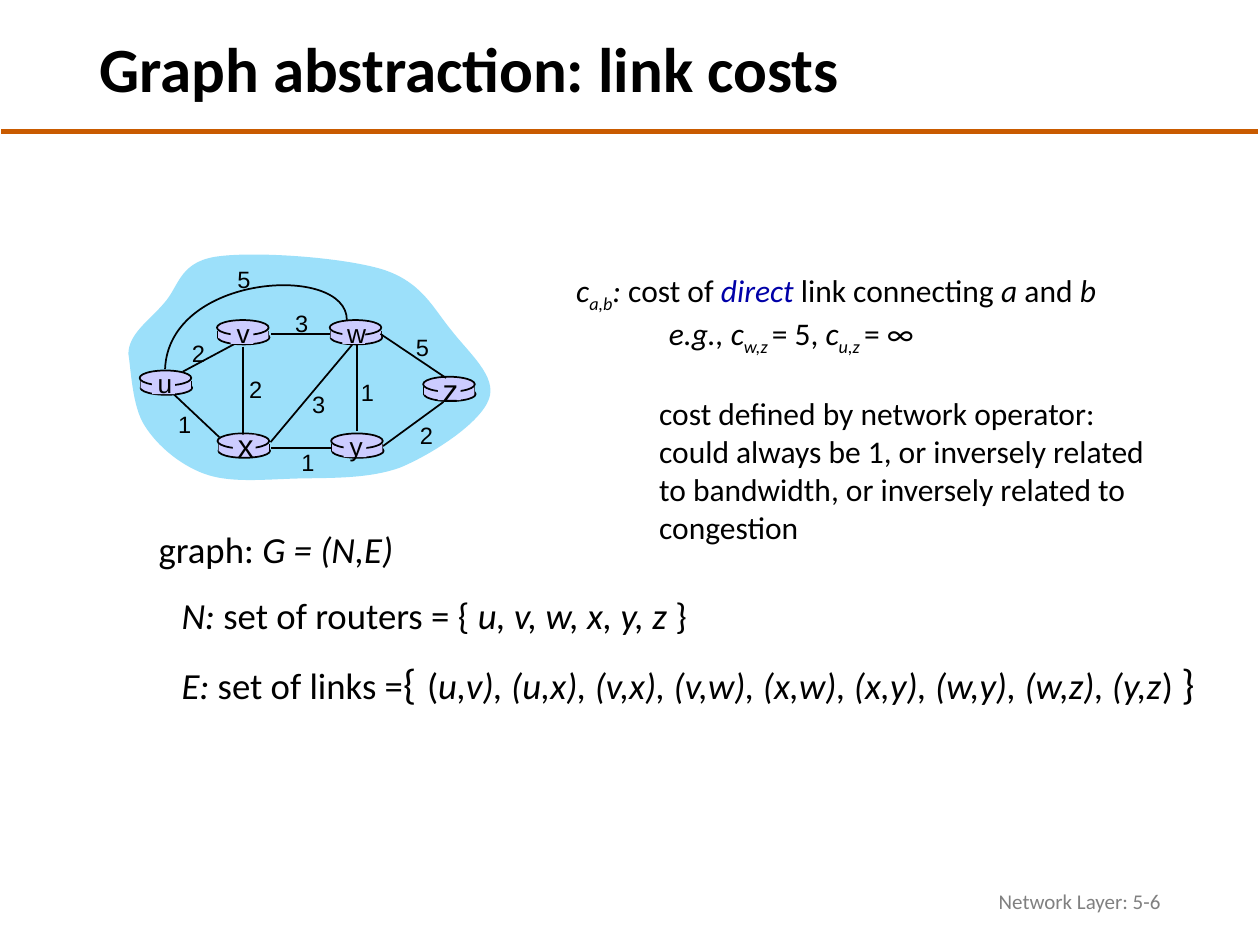
"""Build a slide on link costs in the graph abstraction of a network."""
from dataclasses import dataclass

from lxml import etree
from pptx import Presentation
from pptx.dml import color as dml
from pptx.enum import shapes as s, text as t
from pptx.oxml import ns
from pptx.util import Pt

BLACK, LILAC, SKY, ORANGE = "000000", "CCCCFF", "9CE0FA", "C95B00"
BLUE, GRAY = "0000A8", "808080"
Point = tuple[float, float]


@dataclass(frozen=True)
class Router:
    name: str
    left: float
    top: float
    plate_dx: float = 7.2
    plate_dy: float = 1.4
    size: float = 15


@dataclass(frozen=True)
class Link:
    start: Point
    end: Point
    cost: str
    cost_at: Point


@dataclass(frozen=True)
class Span:
    words: str
    italic: bool = False
    sub: bool = False
    size: float = 0
    color: str = BLACK


ROUTERS = [
    Router("u", 79.8, 211.7),
    Router("x", 124.3, 247.7, 8.8, 0.7, 18),
    Router("v", 124, 182.9, 7.8),
    Router("w", 188.4, 182.9),
    Router("y", 189.2, 247.7),
    Router("z", 241.8, 215.3, 8.4, 1.2, 18),
]
LINK_BEHIND = Link((104.4, 212.4), (136.8, 195.1), "2", (113.4, 202))
LINKS = [
    Link((204, 197.3), (204, 246.2), "1", (209.9, 224.3)),
    Link((139, 198), (139, 248.4), "2", (146.1, 222.4)),
    Link((154.6, 252.7), (201.6, 196.6), "3", (182.1, 231.1)),
    Link((218.9, 254.9), (253.4, 229.7), "2", (243.7, 248.8)),
    Link((189.2, 255.9), (154.6, 255.9), "1", (176, 264.2)),
    Link((125.3, 249.8), (99.4, 225.4), "1", (105.5, 242.3)),
    Link((188.4, 191), (154.6, 191), "3", (172.4, 184.7)),
    Link((254.9, 216), (217.4, 190.8), "5", (241.3, 198.4)),
]
CLOUD = [
    (73.4, 202.3), (73.4, 190.8), (85.7, 182.9), (93.6, 173.5),
    (102.2, 164.2), (102.2, 150.5), (122.4, 146.9),
    (143.3, 143.3), (195.8, 146.9), (218.9, 154.1),
    (241.2, 161.3), (247.7, 176.4), (257.8, 188.6),
    (267.8, 201.6), (284.4, 215.3), (279.4, 228.2),
    (274.3, 241.9), (247.7, 259.2), (229, 267.1),
    (209.5, 274.3), (185, 272.9), (166.3, 273.6),
    (147.6, 274.3), (130.3, 275.8), (116.6, 270.7),
    (103, 265.7), (90, 254.9), (82.8, 243.4),
    (75.6, 232.6), (74.9, 211), (73.4, 202.3),
]
W_TO_U = [(198.2, 182.9), (198.2, 150.5), (96.5, 156.2), (94.3, 211)]


def rgb(code: str) -> dml.RGBColor:
    return dml.RGBColor.from_string(code)


def paint(shape, fill: str = "", line: str = "") -> None:
    shape.shadow.inherit = False
    if fill:
        shape.fill.solid()
        shape.fill.fore_color.rgb = rgb(fill)
    else:
        shape.fill.background()
    if line:
        shape.line.color.rgb = rgb(line)
        shape.line.width = Pt(1)
    else:
        shape.line.fill.background()


def draw_shape(slide, kind, left: float, top: float, width: float, height: float, line: str = "") -> None:
    shape = slide.shapes.add_shape(kind, Pt(left), Pt(top), Pt(width), Pt(height))
    paint(shape, LILAC, line)


def draw_line(slide, start: Point, end: Point, color: str = BLACK, width: float = 1) -> None:
    line = slide.shapes.add_connector(s.MSO_CONNECTOR.STRAIGHT, *map(Pt, start + end))
    line.line.color.rgb = rgb(color)
    line.line.width = Pt(width)
    etree.SubElement(line._element.spPr, ns.qn("a:effectLst"))


def draw_curve(slide, controls: list[Point], closed: bool, fill: str = "", line: str = "") -> None:
    builder = slide.shapes.build_freeform(*map(Pt, controls[0]))
    builder.add_line_segments([(Pt(x), Pt(y)) for x, y in controls[1:]], close=closed)
    shape = builder.convert_to_shape()
    segments = list(shape._element.iter(ns.qn("a:lnTo")))
    for first in range(0, len(segments), 3):
        bezier = etree.Element(ns.qn("a:cubicBezTo"))
        segments[first].addprevious(bezier)
        for segment in segments[first:first + 3]:
            bezier.append(segment[0])
            segment.getparent().remove(segment)
    paint(shape, fill, line)


def style(run, font: str, size: float, color: str = BLACK) -> None:
    run.font.name = font
    run.font.size = Pt(size)
    run.font.color.rgb = rgb(color)


def add_frame(slide, left: float, top: float, width: float, height: float, wrap: bool = False):
    frame = slide.shapes.add_textbox(Pt(left), Pt(top), Pt(width), Pt(height)).text_frame
    frame.word_wrap = wrap
    return frame


def add_label(slide, words: str, center: Point, size: float) -> None:
    width, height = 23, size * 1.2 + 7.2
    frame = add_frame(slide, center[0] - width / 2, center[1] - height / 2, width, height)
    frame.text = words
    frame.paragraphs[0].alignment = t.PP_ALIGN.CENTER
    style(frame.paragraphs[0].runs[0], "Arial", size)


def write(paragraph, spans: list[Span], size: float) -> None:
    for span in spans:
        run = paragraph.add_run()
        run.text = span.words
        style(run, "Calibri", span.size or size, span.color)
        run.font.italic = span.italic
        if span.sub:
            run._r.get_or_add_rPr().set("baseline", "-25000")


def indent(paragraph, left: float) -> None:
    properties = paragraph._p.get_or_add_pPr()
    properties.set("marL", str(Pt(left)))
    properties.set("indent", "0")


def draw_router(slide, router: Router) -> None:
    x, y = router.left, router.top
    draw_shape(slide, s.MSO_SHAPE.OVAL, x + 0.5, y + 6, 29.5, 7.9, BLACK)
    for side in (x + 0.6, x + 29.4):
        draw_line(slide, (side, y + 6), (side, y + 10.3))
    draw_shape(slide, s.MSO_SHAPE.RECTANGLE, x + 0.6, y + 6, 28.8, 4.3)
    draw_shape(slide, s.MSO_SHAPE.OVAL, x, y, 29.5, 8.6, BLACK)


def name_router(slide, router: Router) -> None:
    x, y = router.left + router.plate_dx, router.top + router.plate_dy
    draw_shape(slide, s.MSO_SHAPE.RECTANGLE, x, y, 13, 12.2)
    add_label(slide, router.name, (x + 7.2, y + 6.1), router.size)


def draw_network(slide) -> None:
    draw_curve(slide, CLOUD, True, fill=SKY)
    draw_line(slide, LINK_BEHIND.start, LINK_BEHIND.end)
    for router in ROUTERS:
        draw_router(slide, router)
    for link in LINKS:
        draw_line(slide, link.start, link.end)
    draw_curve(slide, W_TO_U, False, line=BLACK)
    for router in ROUTERS:
        name_router(slide, router)
    for link in [LINK_BEHIND, *LINKS]:
        add_label(slide, link.cost, link.cost_at, 13.5)
    add_label(slide, "5", (139.3, 159.5), 13.5)


def write_heading_and_footer(slide) -> None:
    draw_line(slide, (0.6, 75), (719, 75), ORANGE, 3)
    title = add_frame(slide, 49.7, 10.8, 571, 61.2, wrap=True)
    title.text = "Graph abstraction: link costs"
    title.paragraphs[0].line_spacing = 0.9
    style(title.paragraphs[0].runs[0], "Calibri", 36)
    title.paragraphs[0].runs[0].font.bold = True
    footer = add_frame(slide, 508.3, 500.4, 162, 28.8, wrap=True)
    footer.text = "Network Layer: 5-6"
    footer.paragraphs[0].alignment = t.PP_ALIGN.RIGHT
    style(footer.paragraphs[0].runs[0], "Calibri", 12, GRAY)
    for frame in (title, footer):
        frame.vertical_anchor = t.MSO_ANCHOR.MIDDLE


def write_costs(slide) -> None:
    frame = add_frame(slide, 322.2, 151.2, 347.8, 159.8, wrap=True)
    definition, example, origin = frame.paragraphs[0], frame.add_paragraph(), frame.add_paragraph()
    write(definition, [Span("c", True), Span("a,b", True, True), Span(": ", True), Span("cost of "),
                       Span("direct", True, color=BLUE), Span(" link connecting "),
                       Span("a", True), Span(" and "), Span("b", True)], 18)
    indent(example, 52.9)
    write(example, [Span("e.g., c", True), Span("w,z ", True, True), Span("= 5, "),
                    Span("c", True), Span("u,z ", True, True), Span("= ∞")], 18)
    indent(origin, 47.4)
    origin.space_before = Pt(21.5)
    write(origin, [Span("cost defined by network operator: could always be 1, or inversely "
                        "related to bandwidth, or inversely related to congestion")], 18)


def write_sets(slide) -> None:
    graph = add_frame(slide, 83.5, 297.4, 149.8, 58.3)
    write(graph.paragraphs[0], [Span("graph: "), Span("G = (N,E)", True)], 21)
    nodes = add_frame(slide, 96.7, 335.1, 306.7, 32.4)
    write(nodes.paragraphs[0], [Span("N: ", True), Span("set of routers = { "),
                                Span("u, v, w, x, y, z ", True), Span("}")], 21)
    edges = add_frame(slide, 96.7, 369.4, 599, 40.3)
    pairs = "u,v), (u,x), (v,x), (v,w), (x,w), (x,y), (w,y), (w,z), (y,z"
    write(edges.paragraphs[0], [Span("E: ", True), Span("set of links ="), Span("{", size=24),
                                Span(" ", size=27), Span("("), Span(pairs, True), Span(") "),
                                Span("}", size=24)], 21)


def main() -> None:
    deck = Presentation()
    deck.slide_width, deck.slide_height = Pt(720), Pt(540)
    slide = deck.slides.add_slide(deck.slide_layouts[6])
    write_heading_and_footer(slide)
    draw_network(slide)
    write_costs(slide)
    write_sets(slide)
    deck.save("out.pptx")


if __name__ == "__main__":
    main()
